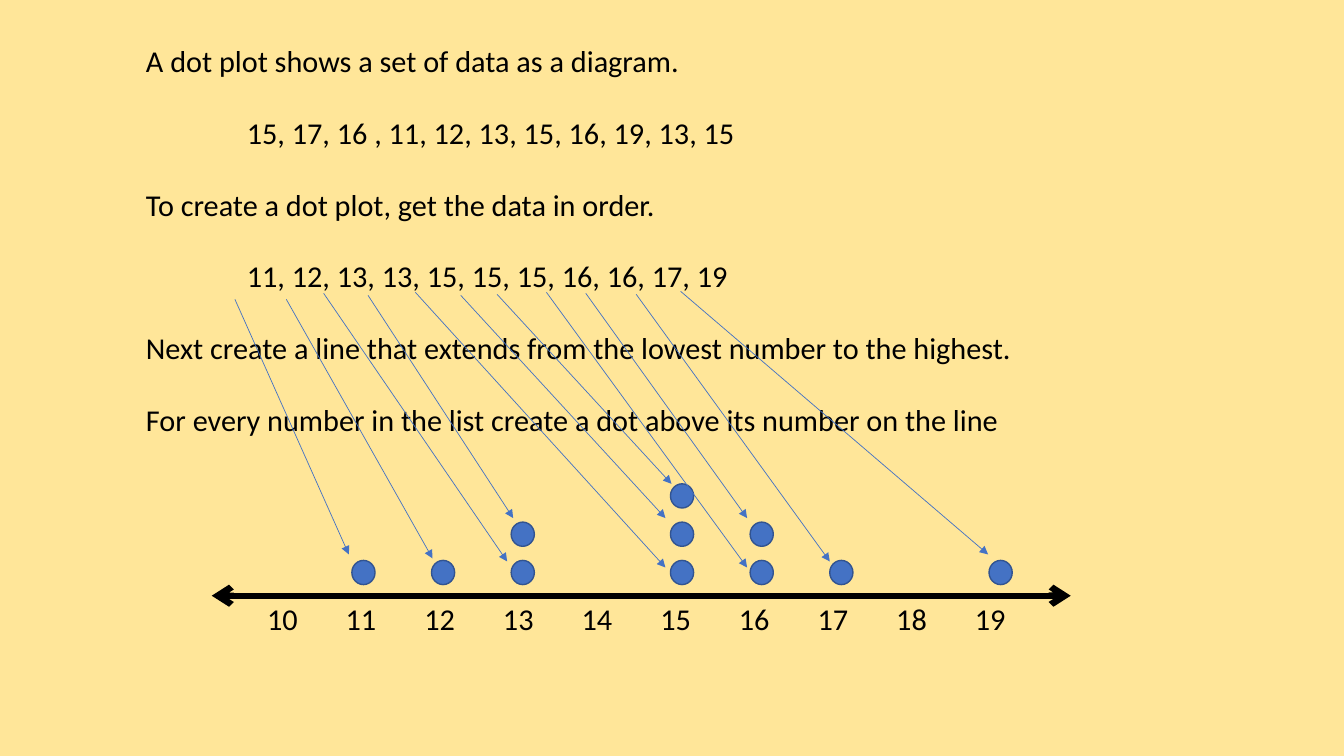
import pptx
import pptx.util
import pptx.dml.color
import pptx.enum.shapes
import pptx.enum.text
from lxml import etree
from pptx.oxml.ns import qn

Inches, Pt = pptx.util.Inches, pptx.util.Pt

COLORS = {"background": "FFE699", "text": "000000", "dot": "4472C4", "dot_edge": "325491"}
FONT = {"name": "Calibri", "size": Pt(21.6)}

# (text, left indent in inches)
STEPS = [
    ("A dot plot shows a set of data as a diagram.", 0),
    ("15, 17, 16 , 11, 12, 13, 15, 16, 19, 13, 15", 1),
    ("To create a dot plot, get the data in order.", 0),
    ("11, 12, 13, 13, 15, 15, 15, 16, 16, 17, 19", 1),
    ("Next create a line that extends from the lowest number to the highest.", 0),
    ("For every number in the list create a dot above its number on the line", 0),
]
AXIS_VALUES = range(10, 20)
AXIS = ((2.1, 5.91), (10.62, 5.91))
# (value, arrow start, arrow end)
DATA = [
    (11, (2.33, 2.97), (3.46, 5.5)),
    (12, (2.84, 2.97), (4.29, 5.54)),
    (13, (3.21, 2.91), (5.03, 5.57)),
    (13, (3.65, 2.93), (5.09, 5.14)),
    (15, (4.12, 2.9), (6.6, 5.63)),
    (15, (4.57, 2.93), (6.6, 5.14)),
    (15, (4.93, 2.92), (6.66, 4.8)),
    (16, (5.42, 2.9), (7.41, 5.63)),
    (16, (5.81, 2.91), (7.41, 5.14)),
    (17, (6.31, 2.92), (8.23, 5.57)),
    (19, (6.75, 2.89), (9.8, 5.5)),
]
LABEL_PITCH = 0.78
DOT_LEFT, DOT_PITCH = 3.49, 0.79  # column of the value 11
DOT_TOP, DOT_RISE = 5.56, 0.38
DOT_SIZE = (0.23, 0.24)


def rgb(name):
    return pptx.dml.color.RGBColor.from_string(COLORS[name])


def format_font(font):
    for key, value in FONT.items():
        setattr(font, key, value)
    font.color.rgb = rgb("text")


def add_text_frame(s, *box):
    tf = s.shapes.add_textbox(*map(Inches, box)).text_frame
    tf.word_wrap = True
    tf.auto_size = pptx.enum.text.MSO_AUTO_SIZE.NONE
    return tf


def add_steps(s):
    tf = add_text_frame(s, 1.35, 0.37, 10.13, 4.2)
    for i, (text, indent) in enumerate(STEPS):
        p = tf.add_paragraph() if i else tf.paragraphs[0]
        p._p.get_or_add_pPr().set("marL", str(Inches(indent)))
        if i:
            p.space_before = Pt(25.4)
        r = p.add_run()
        r.text = text
        format_font(r.font)


def add_axis_labels(s):
    """Write the axis numbers on evenly spaced tab stops."""
    p = add_text_frame(s, 2.55, 5.91, 8.58, 0.46).paragraphs[0]
    tabs = etree.SubElement(p._p.get_or_add_pPr(), qn("a:tabLst"))
    for i in range(1, len(AXIS_VALUES)):
        etree.SubElement(tabs, qn("a:tab"), pos=str(Inches(i * LABEL_PITCH)), algn="l")
    r = p.add_run()
    r.text = "\t".join(map(str, AXIS_VALUES))
    format_font(r.font)


def add_arrow(s, start, end, color, width, **heads):
    """Draw a line; heads maps headEnd and tailEnd to an arrowhead type."""
    line = s.shapes.add_connector(
        pptx.enum.shapes.MSO_CONNECTOR.STRAIGHT, *map(Inches, start + end))
    line.line.color.rgb = rgb(color)
    line.line.width = Pt(width)
    ln = line.line._get_or_add_ln()
    for tag, kind in heads.items():
        etree.SubElement(ln, qn("a:" + tag), type=kind)
    etree.SubElement(line._element.spPr, qn("a:effectLst"))


def add_dot(s, left, top):
    dot = s.shapes.add_shape(
        pptx.enum.shapes.MSO_SHAPE.OVAL, *map(Inches, (left, top) + DOT_SIZE))
    dot.shadow.inherit = False
    dot.fill.solid()
    dot.fill.fore_color.rgb = rgb("dot")
    dot.line.color.rgb = rgb("dot_edge")
    dot.line.width = Pt(1)


def main():
    prs = pptx.Presentation()
    prs.slide_width, prs.slide_height = Inches(13.33), Inches(7.5)
    s = prs.slides.add_slide(prs.slide_layouts.get_by_name("Blank"))
    s.background.fill.solid()
    s.background.fill.fore_color.rgb = rgb("background")

    add_steps(s)
    add_arrow(s, *AXIS, "text", 4.5, headEnd="arrow", tailEnd="arrow")
    add_axis_labels(s)

    stacked = {}
    for value, start, end in DATA:
        level = stacked.get(value, 0)
        stacked[value] = level + 1
        add_dot(s, DOT_LEFT + (value - 11) * DOT_PITCH, DOT_TOP - level * DOT_RISE)
        add_arrow(s, start, end, "dot", 0.5, tailEnd="triangle")

    prs.save("out.pptx")


if __name__ == "__main__":
    main()
